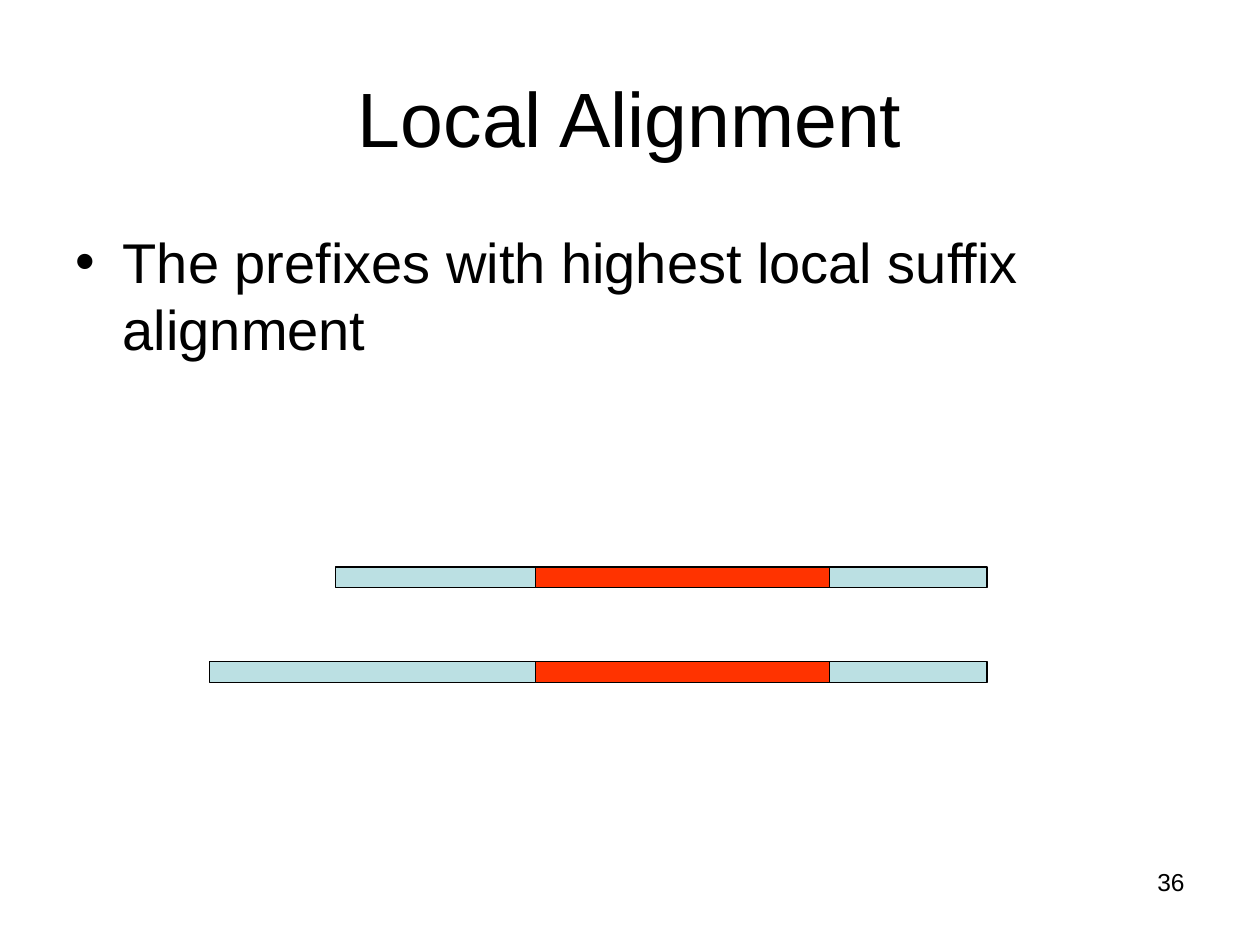
from lxml.etree import SubElement
from pptx import Presentation
from pptx.dml.color import RGBColor
from pptx.enum.shapes import MSO_SHAPE as Shape
from pptx.enum.text import MSO_ANCHOR as Anchor, PP_ALIGN as Align
from pptx.oxml.ns import qn
from pptx.util import Cm, Pt

BLACK, SEQUENCE, MATCH = "000000", "BBE0E3", "FF3300"


def color(value):
    return RGBColor.from_string(value)


def place(part, box):
    part.left, part.top, part.width, part.height = map(Cm, box)


def write(part, text, size=32, align=Align.LEFT, anchor=Anchor.TOP, bullet=None, indent=0):
    frame = part.text_frame
    frame.word_wrap = True
    frame.vertical_anchor = anchor
    frame.text = text
    paragraph = frame.paragraphs[0]
    paragraph.alignment = align
    paragraph.space_before = Pt(0)
    if bullet:
        properties = paragraph._p.get_or_add_pPr()
        properties.set("marL", str(Cm(indent)))
        properties.set("indent", str(-Cm(indent)))
        SubElement(properties, qn("a:buChar")).set("char", bullet)
    font = paragraph.font
    font.name, font.size = "Arial", Pt(size)
    font.color.rgb = color(BLACK)


def add_bar(slide, box, fill):
    bar = slide.shapes.add_shape(Shape.RECTANGLE, *map(Cm, box))
    bar.shadow.inherit = False
    bar.fill.solid()
    bar.fill.fore_color.rgb = color(fill)
    bar.line.color.rgb = color(BLACK)
    bar.line.width = Pt(0.75)


def add_alignment(slide, box):
    """Two sequences ending at the right edge, sharing a matching segment."""
    left, top, width, height = box
    bar_height = 0.42
    match_left, match_width = 6.56, 5.93
    # Each sequence starts at its own offset from the left edge
    starts = (2.54, 0)
    row_step = height - bar_height
    for row, start in enumerate(starts):
        y = top + row * row_step
        add_bar(slide, (left + start, y, width - start, bar_height), SEQUENCE)
        add_bar(slide, (left + match_left, y, match_width, bar_height), MATCH)


def add_heading(slide, box):
    title = slide.shapes.title
    place(title, box)
    write(title, "Local Alignment", size=44, align=Align.CENTER, anchor=Anchor.MIDDLE)


def add_statement(slide, box):
    statement = slide.placeholders[1]
    place(statement, box)
    write(statement, "The prefixes with highest local suffix alignment",
          bullet="•", indent=0.95)


def add_page_number(slide, box):
    page_number = slide.shapes.add_textbox(*map(Cm, box))
    write(page_number, "36", size=14, align=Align.RIGHT)


def main():
    deck = Presentation()
    deck.slide_width, deck.slide_height = Cm(25.4), Cm(19.05)
    slide = deck.slides.add_slide(deck.slide_layouts[1])
    add_heading(slide, (1.27, 0.76, 22.86, 3.18))
    add_statement(slide, (1.27, 4.45, 22.86, 4.65))
    add_alignment(slide, (4.23, 11.43, 15.67, 2.33))
    add_page_number(slide, (18.2, 17.35, 5.93, 1.32))
    deck.save("out.pptx")


if __name__ == "__main__":
    main()
